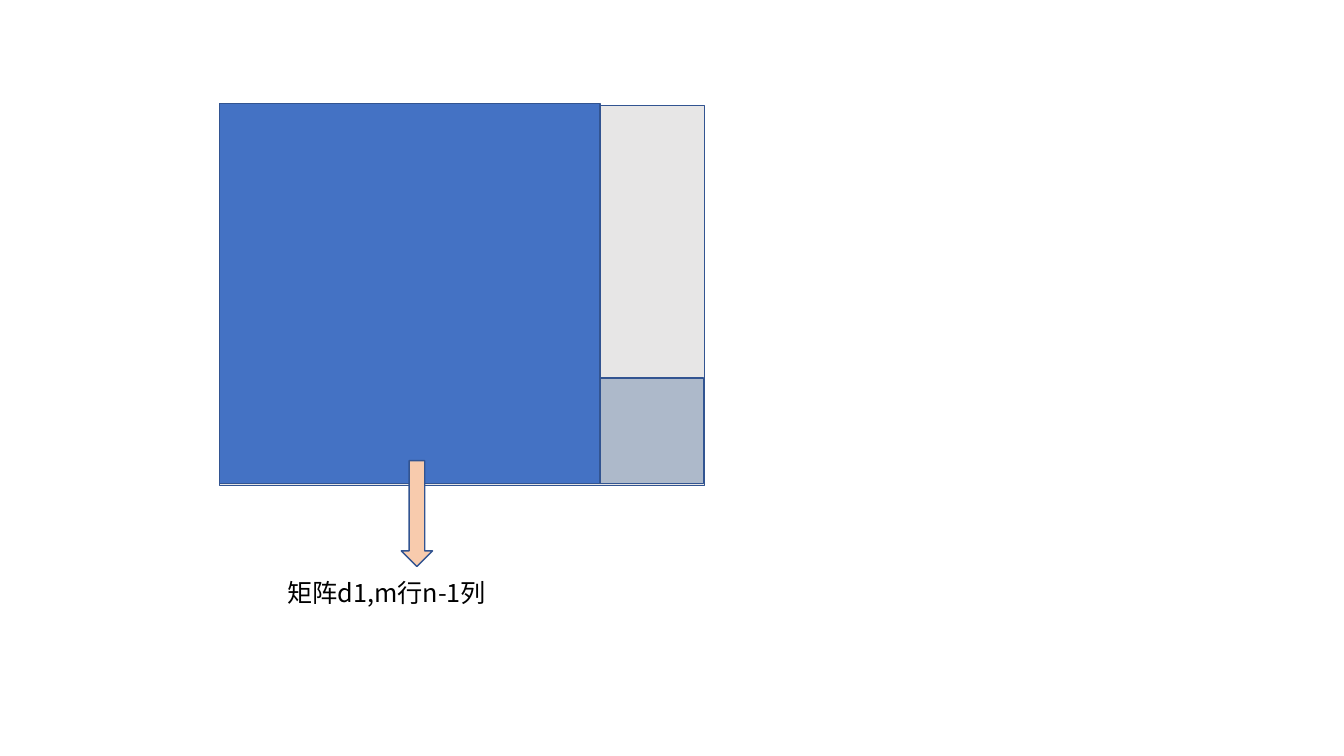
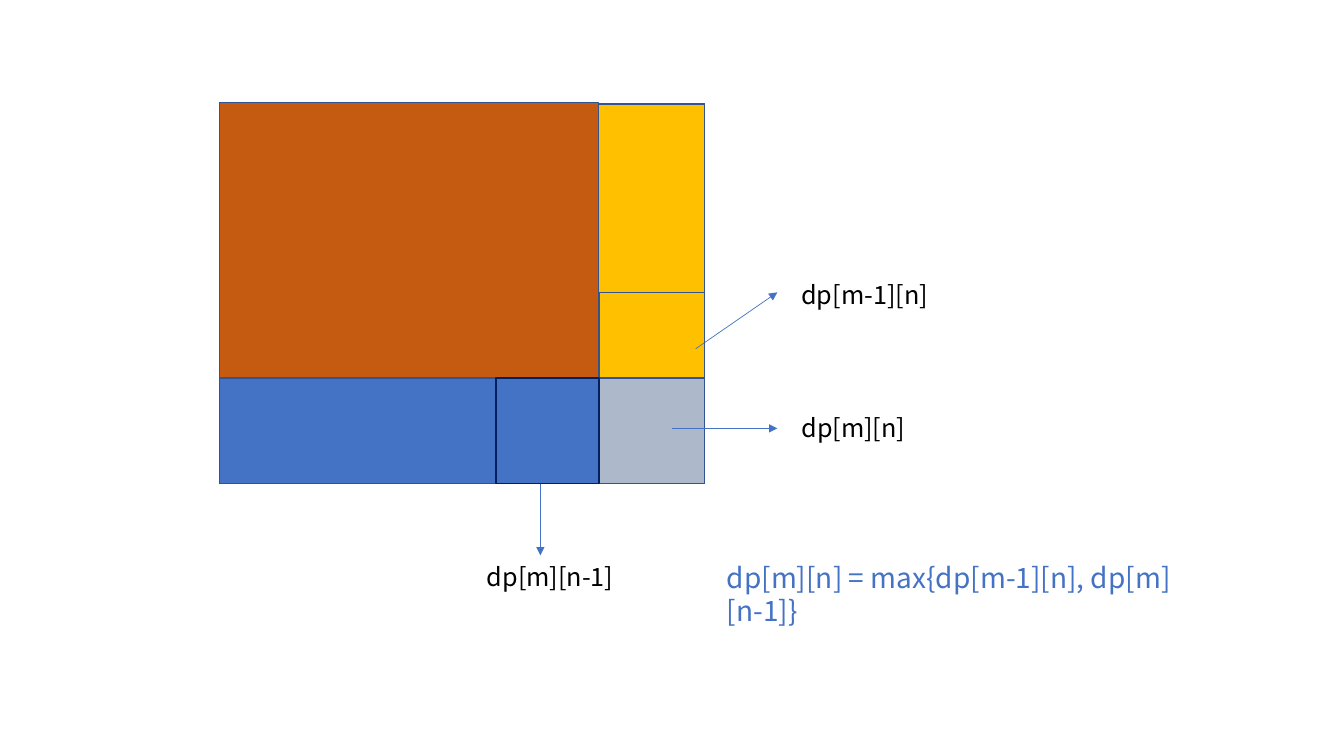
"""Build two slides that split a matrix into dynamic-programming regions."""
from lxml import etree
from pptx import Presentation
from pptx import util as u
from pptx.dml.color import RGBColor
from pptx.enum import shapes, text
from pptx.oxml import ns

BLUE, OUTLINE, NAVY, BLACK = "4472C4", "325491", "002060", "000000"
LIGHT, SLATE, PEACH, GOLD, RUST = "E7E6E6", "ADB9CA", "F8CBAD", "FFC000", "C55A11"
FONT = "Noto Sans CJK SC"
LEFT, TOP, WIDTH, HEIGHT = 2.18, 1.03, 4.81, 3.77
CELL = 1.05
SPLIT_X = LEFT + WIDTH - CELL
SPLIT_Y = TOP + HEIGHT - CELL
CELL_X = 4.92


def color(code):
    return RGBColor.from_string(code)


class Painter:
    def __init__(self):
        self.deck = Presentation()
        self.deck.slide_width = u.Inches(13.33)
        self.deck.slide_height = u.Inches(7.5)
        self.page = None

    def new_page(self):
        self.page = self.deck.slides.add_slide(self.deck.slide_layouts[6])

    def block(self, left, top, width, height, fill=None, line=OUTLINE,
              kind=shapes.MSO_SHAPE.RECTANGLE):
        box = self.page.shapes.add_shape(
            kind, *map(u.Inches, (left, top, width, height)))
        box.shadow.inherit = False
        if fill:
            box.fill.solid()
            box.fill.fore_color.rgb = color(fill)
        else:
            box.fill.background()
        box.line.color.rgb = color(line)
        box.line.width = u.Pt(1)

    def line(self, start, end, arrow=True):
        link = self.page.shapes.add_connector(
            shapes.MSO_CONNECTOR.STRAIGHT, *map(u.Inches, start + end))
        link.line.color.rgb = color(BLUE)
        link.line.width = u.Pt(0.5)
        if arrow:
            outline = link.line._get_or_add_ln()
            etree.SubElement(outline, ns.qn("a:tailEnd"), type="triangle")
        etree.SubElement(link._element.spPr, ns.qn("a:effectLst"))

    def label(self, words, left, top, width, height=0.4, size=18, ink=BLACK):
        box = self.page.shapes.add_textbox(
            *map(u.Inches, (left, top, width, height)))
        frame = box.text_frame
        frame.word_wrap = True
        frame.auto_size = text.MSO_AUTO_SIZE.SHAPE_TO_FIT_TEXT
        para = frame.paragraphs[0]
        span = para.add_run()
        span.text = words
        span.font.size = u.Pt(size)
        span.font.color.rgb = color(ink)
        span.font.name = FONT
        etree.SubElement(span.font._element, ns.qn("a:ea"), typeface=FONT)


def matrix_slide(painter):
    painter.new_page()
    painter.block(LEFT, 1.05, WIDTH, HEIGHT, LIGHT)
    painter.block(5.93, SPLIT_Y, CELL, CELL, SLATE)
    painter.block(LEFT, TOP, HEIGHT, HEIGHT, BLUE)
    painter.block(3.98, 4.57, 0.31, 1.05, PEACH, kind=shapes.MSO_SHAPE.DOWN_ARROW)
    painter.label("矩阵d1,m行n-1列", 2.75, 5.68, 2.57)


def recurrence_slide(painter):
    painter.new_page()
    painter.block(LEFT, TOP, WIDTH, HEIGHT, LIGHT)
    painter.block(SPLIT_X, SPLIT_Y, CELL, CELL, SLATE)
    painter.block(LEFT, TOP, WIDTH, SPLIT_Y - TOP, GOLD)
    painter.block(LEFT, 1.04, SPLIT_X - LEFT, 3.76, BLUE)
    painter.line((6.67, 4.25), (7.71, 4.25))
    painter.label("dp[m][n]", 7.85, 4.04, 1.39)
    painter.line((6.9, 3.46), (7.71, 2.9))
    painter.label("dp[m-1][n]", 7.85, 2.72, 1.46)
    painter.line((CELL_X, SPLIT_Y), (CELL_X, TOP + HEIGHT), arrow=False)
    painter.line((5.36, 4.55), (5.36, 5.51))
    painter.label("dp[m][n-1]", 4.73, 5.52, 6.67)
    painter.block(LEFT, 1.02, SPLIT_X - LEFT, 2.73, RUST)
    painter.block(SPLIT_X, 2.9, CELL, 0.85)
    painter.block(CELL_X, SPLIT_Y, SPLIT_X - CELL_X, CELL, line=NAVY)
    painter.label("dp[m][n] = max{dp[m-1][n], dp[m][n-1]}",
                  7.11, 5.51, 5.05, 0.44, size=20, ink=BLUE)


painter = Painter()
matrix_slide(painter)
recurrence_slide(painter)
painter.deck.save("out.pptx")
